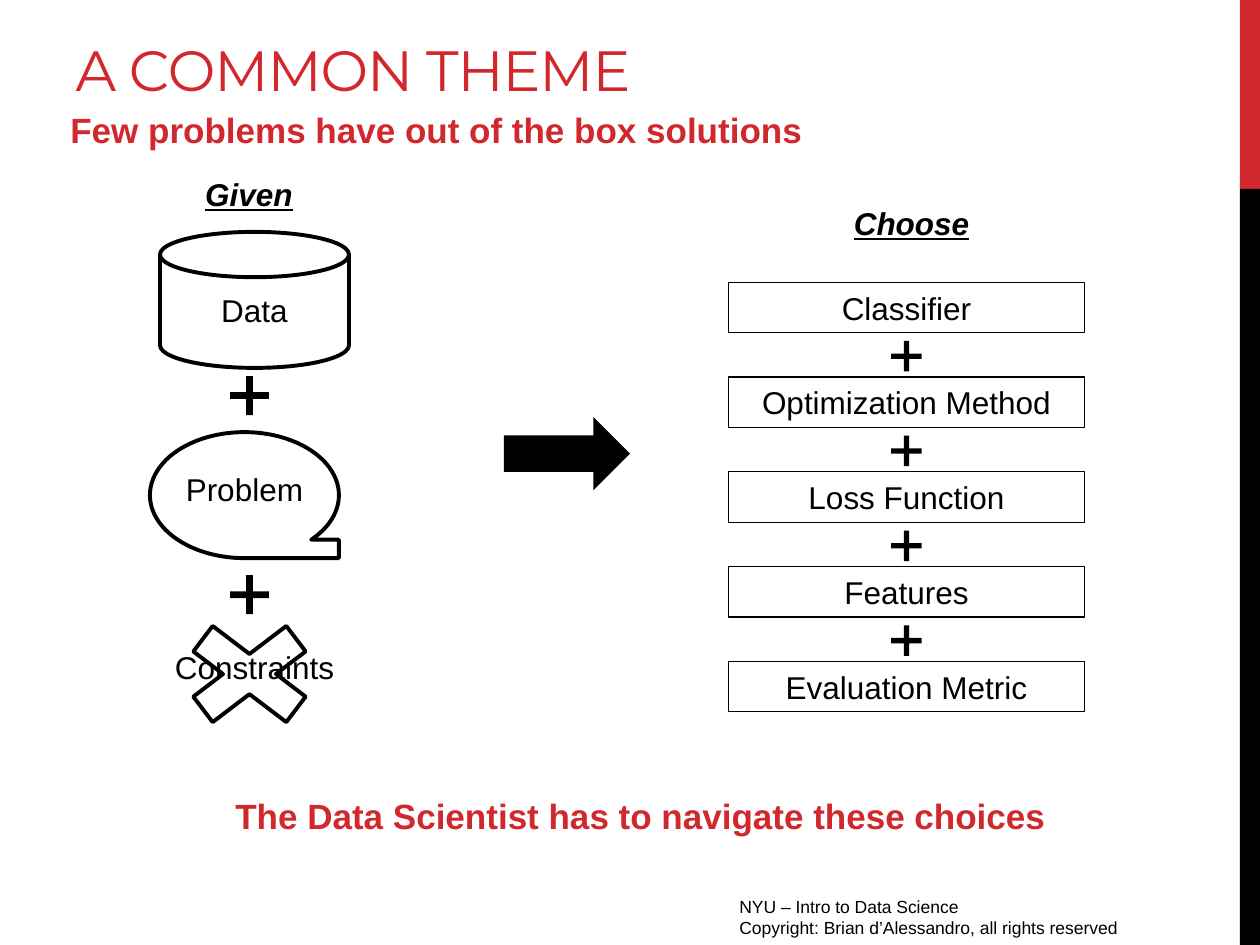
"""Build the slide 'A common theme': given inputs lead to modelling choices."""
from pptx import Presentation
from pptx import util as u
from pptx.dml.color import RGBColor
from pptx.enum import shapes, text

COLORS = {"red": "D1282E", "black": "000000"}
SHAPE = shapes.MSO_SHAPE
CENTER = text.PP_ALIGN.CENTER
WIDTH, HEIGHT = 10, 7.5

TITLE = "A COMMON THEME"
SUBTITLE = "Few problems have out of the box solutions"
CONCLUSION = "The Data Scientist has to navigate these choices"
FOOTER = ["NYU – Intro to Data Science",
          "Copyright: Brian d’Alessandro, all rights reserved"]
GIVEN = [
    ("Constraints", SHAPE.MATH_MULTIPLY, (1.27, 4.81, 1.42, 1.08), (1.27, 5.09)),
    ("Data", SHAPE.FLOWCHART_MAGNETIC_DISK, (1.27, 1.84, 1.5, 1.08), (1.27, 2.26)),
    ("Problem", SHAPE.FLOWCHART_SEQUENTIAL_ACCESS_STORAGE, (1.19, 3.43, 1.5, 1), (1.19, 3.68)),
]
GIVEN_PLUS_TOPS = [2.93, 4.51]
CHOICES = ["Classifier", "Optimization Method", "Loss Function", "Features",
           "Evaluation Metric"]
CHOICE_LEFT, CHOICE_TOP, CHOICE_PITCH = 5.78, 2.24, 0.7525
CHOICE_WIDTH, ROW_HEIGHT = 2.83, 0.4


def inches(box):
    return [u.Inches(length) for length in box]


def rgb(name):
    return RGBColor.from_string(COLORS[name])


def write(shape, lines, size, color="black", align=None, font="Arial", **styles):
    frame = shape.text_frame
    frame.word_wrap = True
    frame.text = "\n".join(lines)
    for paragraph in frame.paragraphs:
        paragraph.alignment = align
        for run in paragraph.runs:
            run.font.name, run.font.size = font, u.Pt(size)
            run.font.color.rgb = rgb(color)
            for style, value in styles.items():
                setattr(run.font, style, value)


def add_text(parent, box, lines, size, **format):
    write(parent.add_textbox(*inches(box)), lines, size, **format)


def add_shape(parent, kind, box, fill=None, line=None):
    shape = parent.add_shape(kind, *inches(box))
    shape.shadow.inherit = False
    if fill:
        shape.fill.solid()
        shape.fill.fore_color.rgb = rgb(fill)
    else:
        shape.fill.background()
    if line:
        shape.line.color.rgb = rgb("black")
        shape.line.width = u.Pt(line)
    else:
        shape.line.fill.background()
    return shape


def add_plus(parent, center, top, size):
    plus = add_shape(parent, SHAPE.MATH_PLUS, (center - size / 2, top, size, size), "black")
    plus.adjustments[0] = 0.127


def add_heading(parent, box, heading):
    add_text(parent, box, [heading], 18, align=CENTER, bold=True, italic=True, underline=True)


def add_given(parent):
    add_heading(parent, (0.85, 1.34, 2.25, 0.42), "Given")
    for label, kind, box, (left, top) in GIVEN:
        add_shape(parent, kind, box, line=2.25)
        add_text(parent, (left, top, 1.5, ROW_HEIGHT), [label], 18, align=CENTER)
    for top in GIVEN_PLUS_TOPS:
        add_plus(parent, 1.98, top, 0.42)


def add_choices(parent):
    add_heading(parent, (6.11, 1.57, 2.25, 0.42), "Choose")
    for row, label in enumerate(CHOICES):
        top = CHOICE_TOP + row * CHOICE_PITCH
        box = add_shape(parent, SHAPE.RECTANGLE,
                        (CHOICE_LEFT, top, CHOICE_WIDTH, ROW_HEIGHT), line=0.75)
        write(box, [label], 18, align=CENTER)
        if row:
            add_plus(parent, CHOICE_LEFT + CHOICE_WIDTH / 2, top - 0.33, 0.33)


def main():
    presentation = Presentation()
    presentation.slide_width, presentation.slide_height = inches((WIDTH, HEIGHT))
    slide = presentation.slides.add_slide(presentation.slide_layouts[5])
    parts = slide.shapes

    band_left, band_split = 9.84, HEIGHT / 5
    band_width = WIDTH - band_left
    add_shape(parts, SHAPE.RECTANGLE, (band_left, 0, band_width, band_split), "red")
    add_shape(parts, SHAPE.RECTANGLE,
              (band_left, band_split, band_width, HEIGHT - band_split), "black")
    add_text(parts, (5.77, 7.06, 3.75, 0.31), FOOTER, 10)

    title = parts.title
    title.left, title.top, title.width, title.height = inches((0.5, 0.24, 6.33, 0.63))
    write(title, [TITLE], 32.4, "red", text.PP_ALIGN.LEFT, "Montserrat")
    title.text_frame.vertical_anchor = text.MSO_ANCHOR.BOTTOM
    title.text_frame.auto_size = text.MSO_AUTO_SIZE.NONE
    for properties in title.element.xpath(".//a:rPr"):
        properties.set("spc", "-60")

    add_text(parts, (0.46, 0.81, 8.67, 0.44), [SUBTITLE], 20, color="red", bold=True)
    add_shape(parts, SHAPE.RIGHT_ARROW, (4, 3.31, 1, 0.58), "black")
    add_choices(parts.add_group_shape().shapes)
    add_text(parts, (0.75, 6.26, 8.67, 0.44), [CONCLUSION], 20,
             color="red", align=CENTER, bold=True)
    add_given(parts.add_group_shape().shapes)
    presentation.save("out.pptx")


if __name__ == "__main__":
    main()
